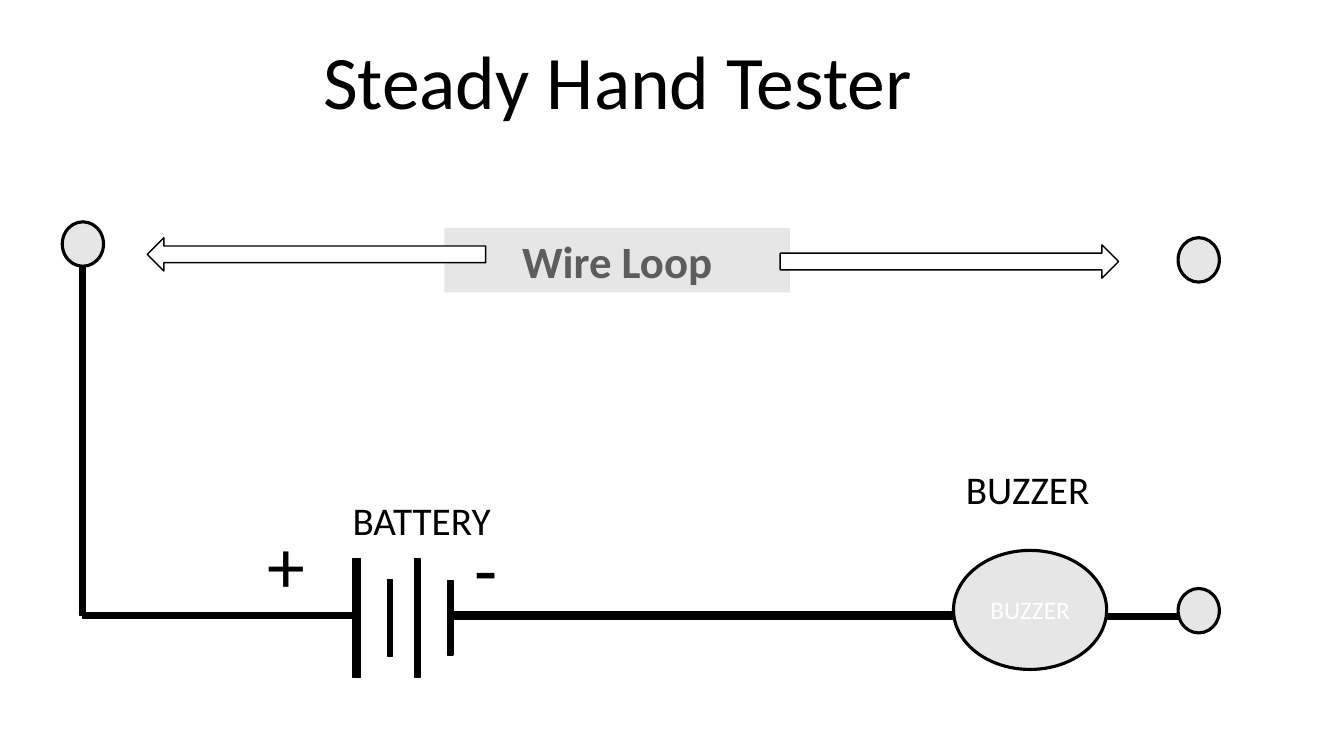
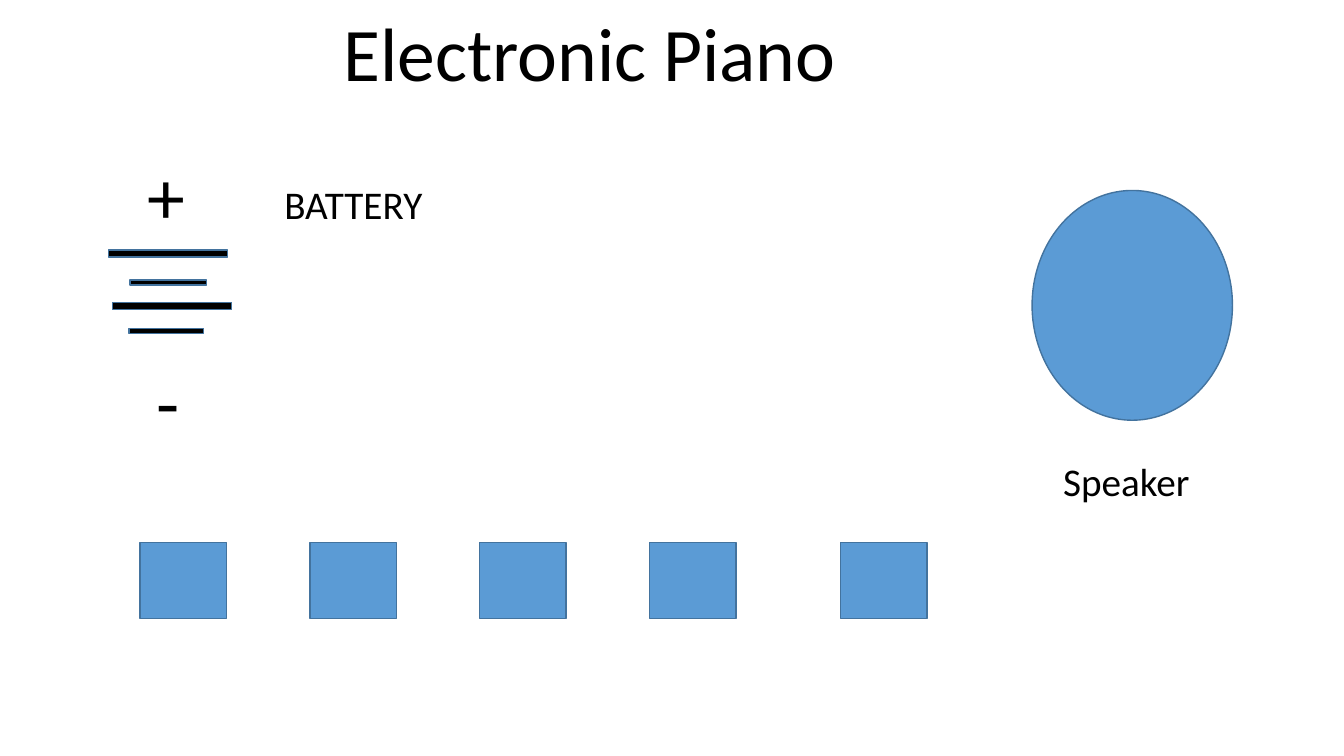
from pptx import Presentation
from pptx.dml.color import RGBColor as Rgb
from pptx.enum.shapes import MSO_SHAPE as Form
from pptx.enum.text import MSO_ANCHOR as Anchor, MSO_AUTO_SIZE as Fit, PP_ALIGN as Align
from pptx.util import Cm, Pt

BLACK, WHITE, GREY, SLATE = "000000", "FFFFFF", "E7E6E6", "5D5D5D"
BLUE, NAVY = "5B9BD5", "43739E"
SIGN = (1.68, 2.57)
LABEL = (4.29, 1.45)


def tint(code):
    return Rgb.from_string(code)


def place(box):
    return [Cm(n) for n in box]


class Deck:
    frame = {"word_wrap": True, "auto_size": Fit.NONE}
    face = {"name": "Calibri", "bold": False}

    def __init__(self):
        self.show = Presentation()
        self.show.slide_width, self.show.slide_height = Cm(33.87), Cm(19.05)
        self.slide = None

    def label(self, shape, text, size, color=BLACK, anchor=Anchor.TOP, **more):
        frame = shape.text_frame
        for key, value in {**self.frame, "vertical_anchor": anchor}.items():
            setattr(frame, key, value)
        para = frame.paragraphs[0]
        para.alignment = Align.CENTER
        run = para.add_run()
        run.text = text
        for key, value in {**self.face, "size": Pt(size), **more}.items():
            setattr(run.font, key, value)
        run.font.color.rgb = tint(color)

    def page(self, text, box):
        self.slide = self.show.slides.add_slide(self.show.slide_layouts[5])
        title = self.slide.shapes.title
        title.left, title.top, title.width, title.height = place(box)
        self.label(title, text, 54, anchor=Anchor.MIDDLE)

    def text(self, text, left, top, size=28, area=LABEL):
        box = self.slide.shapes.add_textbox(*place((left, top, *area)))
        self.label(box, text, size)

    def sign(self, text, left, top):
        self.text(text, left, top, 54, SIGN)

    def shape(self, form, box, fill, line=None, width=1):
        shape = self.slide.shapes.add_shape(form, *place(box))
        shape.shadow.inherit = False
        shape.fill.solid()
        shape.fill.fore_color.rgb = tint(fill)
        if line:
            shape.line.color.rgb = tint(line)
            shape.line.width = Pt(width)
        else:
            shape.line.fill.background()
        return shape

    def node(self, left, top, wide=1.04, high=1.12):
        box = (left, top, wide, high)
        return self.shape(Form.FLOWCHART_CONNECTOR, box, GREY, BLACK, 2.25)

    def wire(self, *box):
        self.shape(Form.RECTANGLE, box, BLACK, BLACK)

    def plate(self, mid, row, wide, high, line):
        box = (mid - wide / 2, row - high / 2, wide, high)
        self.shape(Form.RECTANGLE, box, BLACK, line)


def tester(deck):
    deck.page("Steady Hand Tester", (7.65, 0.71, 15.82, 2.57))
    loop = deck.shape(Form.RECTANGLE, (11.2, 5.74, 8.71, 1.63), GREY)
    deck.label(loop, "Wire Loop", 32, SLATE, Anchor.MIDDLE, bold=True)
    for form, left, top in ((Form.LEFT_ARROW, 3.71, 5.99),
                            (Form.RIGHT_ARROW, 19.66, 6.17)):
        deck.shape(form, (left, top, 8.53, 0.84), WHITE, BLACK)

    deck.node(1.57, 5.59)
    deck.node(29.69, 5.99)
    buzzer = deck.node(24.03, 13.87, 3.86, 3)
    deck.label(buzzer, "BUZZER", 18, WHITE, Anchor.MIDDLE)
    for box in ((2.01, 6.71, 0.13, 8.79), (2.08, 15.44, 6.83, 0.13),
                (11.46, 15.42, 12.6, 0.18), (27.91, 15.47, 2.49, 0.13)):
        deck.wire(*box)
    deck.node(29.69, 14.83)

    for mid, wide, high in ((8.99, 0.18, 3), (9.83, 0.13, 1.93),
                            (10.52, 0.13, 3), (11.35, 0.13, 1.88)):
        deck.plate(mid, 15.57, wide, high, BLACK)
    deck.sign("+", 6.38, 12.93)
    deck.sign("-", 11.4, 13.03)
    deck.text("BUZZER", 23.75, 11.61)
    deck.text("BATTERY", 8.48, 12.37)


def piano(deck):
    deck.page("Electronic Piano", (8.33, 0, 13.06, 2.57))
    deck.shape(Form.OVAL, (26.01, 4.8, 5.05, 5.79), BLUE, NAVY)
    for left in [3.53 + 4.28 * step for step in range(4)] + [21.18]:
        deck.shape(Form.RECTANGLE, (left, 13.67, 2.18, 1.91), BLUE, NAVY)
    for mid, row, wide, high in ((4.24, 6.39, 3, 0.18), (4.24, 7.12, 1.93, 0.13),
                                 (4.34, 7.71, 3, 0.18), (4.19, 8.34, 1.88, 0.13)):
        deck.plate(mid, row, wide, high, NAVY)
    deck.sign("+", 3.35, 3.63)
    deck.sign("-", 3.4, 8.81)
    deck.text("BATTERY", 6.76, 4.42)
    deck.text("Speaker", 26.24, 11.4)


def main():
    deck = Deck()
    tester(deck)
    piano(deck)
    deck.show.save("out.pptx")


if __name__ == "__main__":
    main()
